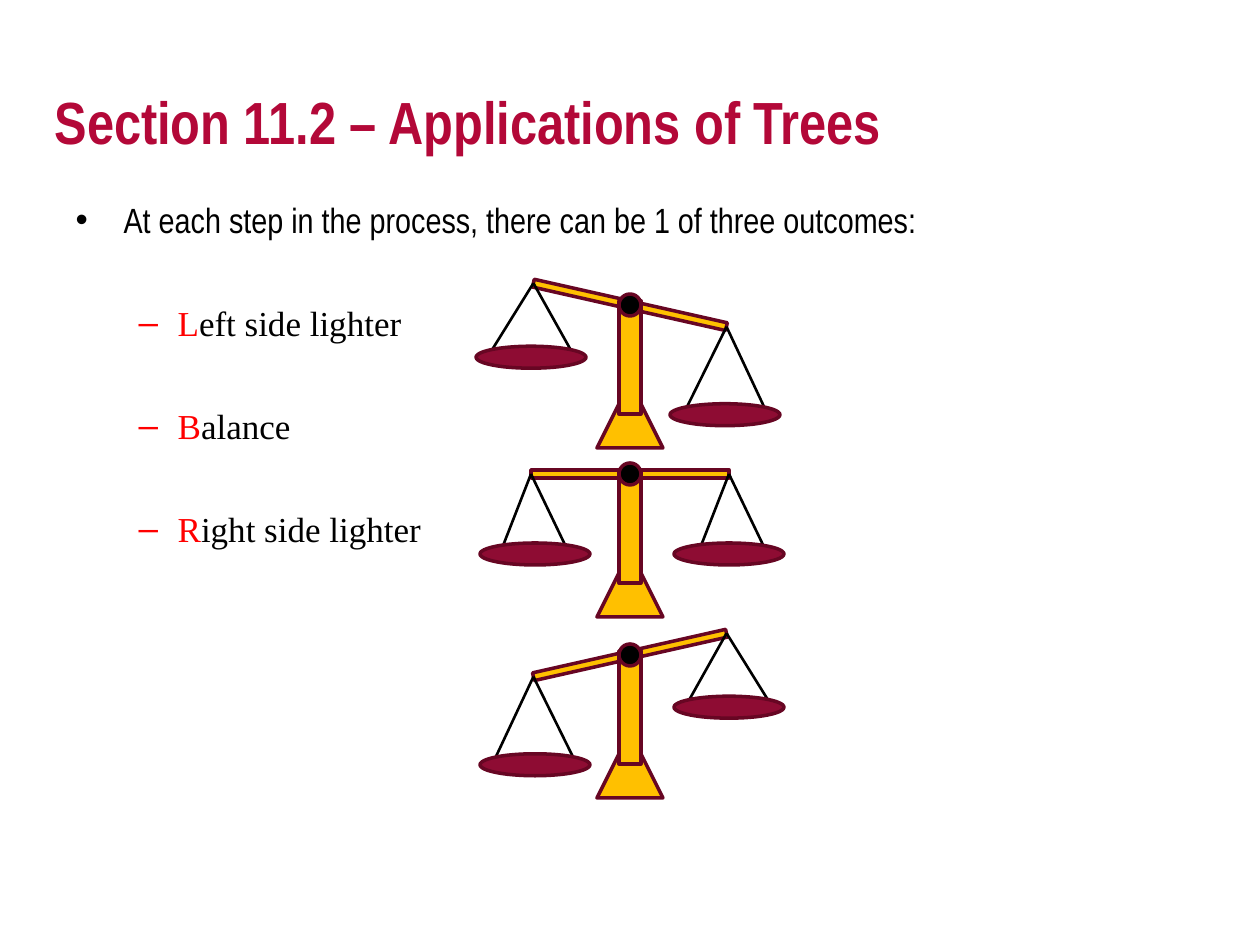
from math import cos, radians, sin

from lxml.etree import SubElement
from pptx import Presentation
from pptx.dml.color import RGBColor as RGB
from pptx.enum.shapes import MSO_CONNECTOR as CONN, MSO_SHAPE as SHAPE
from pptx.enum.text import MSO_ANCHOR as ANCHOR, MSO_AUTO_SIZE as FIT, PP_ALIGN as ALIGN
from pptx.oxml.ns import qn
from pptx.util import Emu, Pt

COLORS = {"title": "B30838", "text": "000000", "accent": "FF0000",
          "gold": "FFC000", "edge": "670623", "pan": "8E0C33"}
NARROW, SERIF = "Arial Narrow", "Times New Roman"
OUTCOMES = ["Left side lighter", "Balance", "Right side lighter"]
SCALES = [(283, 1), (452, 0), (633, -1)]
HANGERS = {"high": (66, -37, 41, 3), "level": (77, -30, 37, 8), "low": (81, -38, 40, 4)}


def px(n):
    """Turn slide pixels, 126 to the inch, into EMU."""
    return Emu(round(n * 914400 / 126))


def color(name):
    """Look up a named colour."""
    return RGB.from_string(COLORS[name])


def place(sp, left, top, width, height):
    """Move a placeholder to a pixel box."""
    sp.left, sp.top, sp.width, sp.height = map(px, (left, top, width, height))


def add_run(p, text, font, size, fill, bold=False):
    """Append one formatted run."""
    r = p.add_run()
    r.text = text
    r.font.name, r.font.size, r.font.bold = font, Pt(size), bold
    r.font.color.rgb = color(fill)


def set_bullet(p, char, fill, margin, hang):
    """Give a paragraph a coloured bullet and a hanging indent."""
    pPr = p._p.get_or_add_pPr()
    pPr.set("marL", str(px(margin)))
    pPr.set("indent", str(-px(hang)))
    clr = SubElement(pPr, qn("a:buClr"))
    SubElement(clr, qn("a:srgbClr"), val=COLORS[fill])
    SubElement(pPr, qn("a:buFont"), typeface="Arial")
    SubElement(pPr, qn("a:buChar"), char=char)


def add_title(sp, box):
    """Fill the title placeholder."""
    place(sp, *box)
    tf = sp.text_frame
    tf.vertical_anchor, tf.auto_size = ANCHOR.MIDDLE, FIT.NONE
    p = tf.paragraphs[0]
    p.alignment = ALIGN.LEFT
    add_run(p, "Section 11.2 – Applications of Trees", NARROW, 34, "title", True)


def add_outcomes(sp, box):
    """Fill the body placeholder with the three outcomes."""
    place(sp, *box)
    tf = sp.text_frame
    tf.vertical_anchor, tf.auto_size = ANCHOR.TOP, FIT.NONE
    tf.margin_top = px(9)
    p = tf.paragraphs[0]
    p.space_before = Pt(0)
    set_bullet(p, "•", "text", 48, 48)
    add_run(p, "At each step in the process, there can be 1 of three outcomes:",
            NARROW, 20, "text")
    for outcome in OUTCOMES:
        p = tf.add_paragraph()
        p.level, p.space_before = 1, Pt(35)
        set_bullet(p, "–", "accent", 102, 39)
        add_run(p, outcome[0], SERIF, 20, "accent")
        add_run(p, outcome[1:], SERIF, 20, "text")


def add_part(group, kind, box, fill):
    """Add one outlined solid part of a scale."""
    sp = group.shapes.add_shape(kind, *map(px, box))
    sp.shadow.inherit = False
    sp.fill.solid()
    sp.fill.fore_color.rgb = color(fill)
    sp.line.color.rgb = color("edge")
    sp.line.width = Pt(2)
    return sp


def add_string(group, x1, y1, x2, y2):
    """Add one string of a pan."""
    line = group.shapes.add_connector(CONN.STRAIGHT, *map(px, (x1, y1, x2, y2)))
    line.line.color.rgb = color("text")
    line.line.width = Pt(1.5)
    SubElement(line._element.spPr, qn("a:effectLst"))


def add_scale(s, left, top, tilt):
    """Draw a balance; tilt 1 drops the right pan, -1 the left one."""
    group = s.shapes.add_group_shape()
    x, y = left + 150, top + 22
    angle = 12.7 * tilt
    beam = add_part(group, SHAPE.RECTANGLE, (x - 99, y - 4, 198, 8), "gold")
    beam.rotation = angle
    add_part(group, SHAPE.ISOSCELES_TRIANGLE, (x - 33, y + 77, 66, 66), "gold")
    add_part(group, SHAPE.RECTANGLE, (x - 11, y - 4, 22, 113), "gold")
    add_part(group, SHAPE.OVAL, (x - 11, y - 11, 22, 22), "text")
    mirror = -1 if tilt == 1 else 1
    for side in (-1, 1):
        state = {-1: "high", 0: "level", 1: "low"}[side * tilt]
        drop, inner, outer, lift = HANGERS[state]
        end_x = x + side * 99 * cos(radians(angle))
        end_y = y + side * 99 * sin(radians(angle))
        for offset in (inner, outer):
            add_string(group, end_x, end_y, end_x + mirror * offset, end_y + drop)
        pan_x = x + side * 97 + 2 * mirror
        add_part(group, SHAPE.OVAL, (pan_x - 55, end_y + drop - lift, 110, 22), "pan")


def main():
    """Build and save the slide."""
    prs = Presentation()
    prs.slide_width, prs.slide_height = px(1260), px(945)
    s = prs.slides.add_slide(prs.slide_layouts[1])
    add_title(s.shapes.title, (42, 42, 1155, 158))
    add_outcomes(s.placeholders[1], (63, 189, 1134, 655))
    for top, tilt in SCALES:
        add_scale(s, 480, top, tilt)
    prs.save("out.pptx")


if __name__ == "__main__":
    main()
